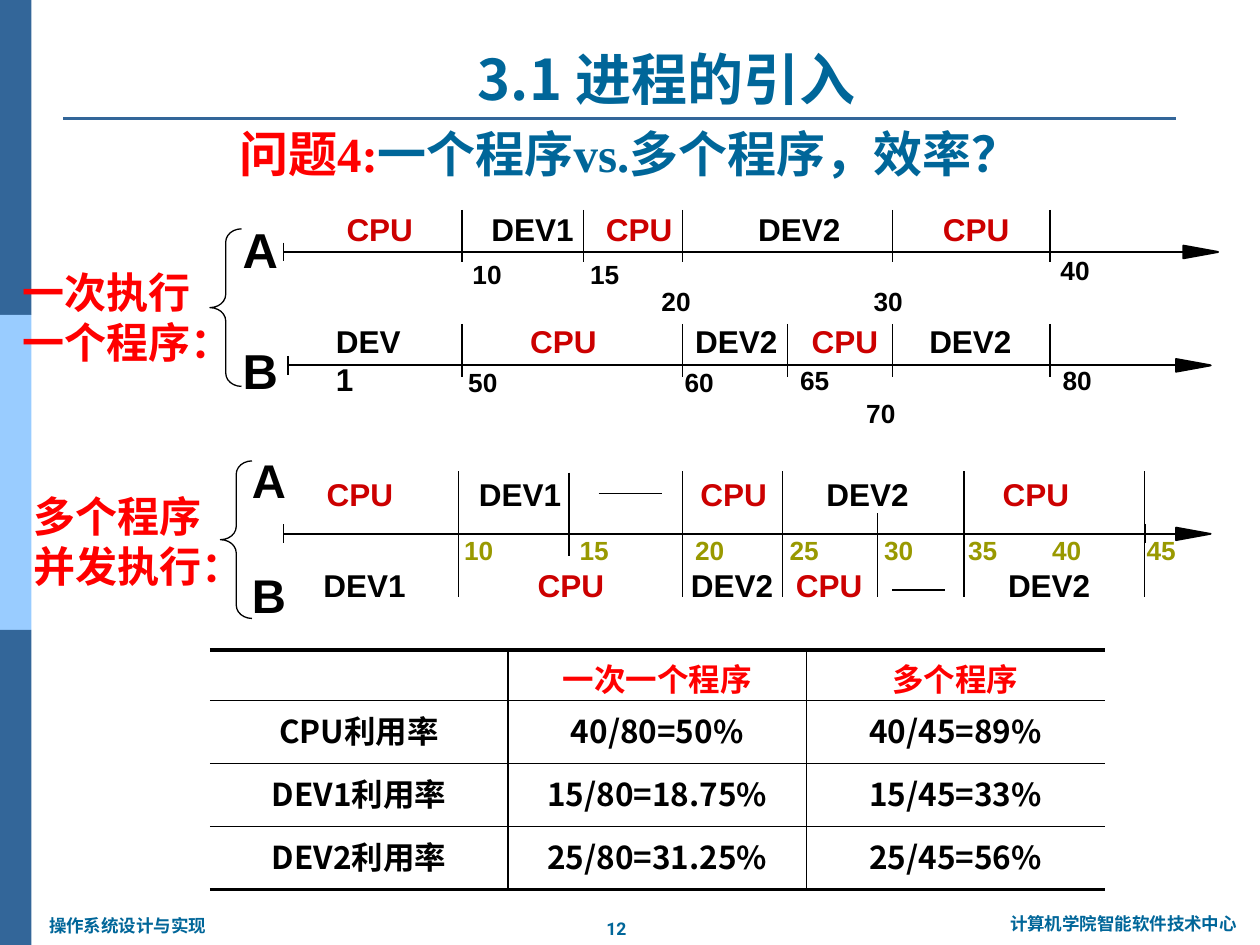
import dataclasses
import itertools
import typing

import lxml.etree
import pptx
import pptx.dml.color
import pptx.enum.shapes
import pptx.enum.text
import pptx.oxml.ns
import pptx.util

qn = pptx.oxml.ns.qn
Align = pptx.enum.text.PP_ALIGN
Anchor = pptx.enum.text.MSO_ANCHOR
Preset = pptx.enum.shapes.MSO_SHAPE


@dataclasses.dataclass(frozen=True)
class Theme:
    black: str = "000000"
    red: str = "FF0000"
    cpu: str = "CC0000"
    olive: str = "999900"
    teal: str = "006699"
    navy: str = "336699"
    sky: str = "99CCFF"
    sans: str = "Arial"
    serif: str = "Times New Roman"
    foot: str = "Roboto"
    han: str = "Noto Sans CJK SC"
    head: float = 32
    ask: float = 28
    name: float = 28
    pair: float = 27
    side: float = 24
    task: float = 18
    time: float = 15
    note: float = 10
    thin: float = 0.75
    line: float = 1
    bold: float = 2.25


T = Theme()


class Run(typing.NamedTuple):
    text: str
    size: float
    color: str
    font: str = T.sans


class Area(typing.NamedTuple):
    x: float
    y: float
    w: float
    h: float


class Row(typing.NamedTuple):
    top: float
    size: float
    color: str
    marks: list[tuple[str, float]]


class Lane(typing.NamedTuple):
    y: float
    start: float
    tip: float
    width: float


class Ticks(typing.NamedTuple):
    top: float
    end: float
    cols: list[float]
    width: float


deck = pptx.Presentation()
deck.slide_width = pptx.util.Inches(10)
deck.slide_height = pptx.util.Inches(7.5)
COLS, ROWS = 120, 90
slide = deck.slides.add_slide(deck.slide_layouts[5])
shapes = slide.shapes


def col(n: float) -> int:
    return round(deck.slide_width * n / COLS)


def row(n: float) -> int:
    return round(deck.slide_height * n / ROWS)


def place(area: Area) -> tuple[int, int, int, int]:
    return col(area.x), row(area.y), col(area.w), row(area.h)


def rgb(code: str) -> pptx.dml.color.RGBColor:
    return pptx.dml.color.RGBColor.from_string(code)


def write(para, runs: list[Run], align=Align.LEFT) -> None:
    para.alignment = align
    for part in runs:
        for i, text in enumerate(part.text.split("\n")):
            if i:
                para.add_line_break()
            run = para.add_run()
            run.text = text
            run.font.size = pptx.util.Pt(part.size)
            run.font.name = part.font
            run.font.bold = True
            run.font.color.rgb = rgb(part.color)
            east = lxml.etree.Element(qn("a:ea"), typeface=T.han)
            run.font._element.find(qn("a:latin")).addnext(east)


def label(area: Area, runs: list[Run], align=Align.LEFT, wrap=False, pad=False) -> None:
    frame = shapes.add_textbox(*place(area)).text_frame
    frame.word_wrap = wrap
    if not pad:
        frame.margin_left = frame.margin_right = 0
        frame.margin_top = frame.margin_bottom = 0
    write(frame.paragraphs[0], runs, align)


def title(area: Area, runs: list[Run]) -> None:
    shape = shapes.title
    shape.left, shape.top, shape.width, shape.height = place(area)
    shape.text_frame.vertical_anchor = Anchor.BOTTOM
    write(shape.text_frame.paragraphs[0], runs, Align.CENTER)


def line(x1: float, y1: float, x2: float, y2: float, width: float, color: str = T.black) -> None:
    link = shapes.add_connector(
        pptx.enum.shapes.MSO_CONNECTOR.STRAIGHT, col(x1), row(y1), col(x2), row(y2))
    link.line.width = pptx.util.Pt(width)
    link.line.color.rgb = rgb(color)
    lxml.etree.SubElement(link._element.spPr, qn("a:effectLst"))


def bar(area: Area, color: str) -> None:
    shape = shapes.add_shape(Preset.RECTANGLE, *place(area))
    shape.shadow.inherit = False
    shape.fill.solid()
    shape.fill.fore_color.rgb = rgb(color)
    shape.line.fill.background()


def brace(area: Area) -> None:
    shape = shapes.add_shape(Preset.LEFT_BRACE, *place(area))
    shape.shadow.inherit = False
    shape.adjustments[0] = 0.42
    shape.fill.background()
    shape.line.color.rgb = rgb(T.black)
    shape.line.width = pptx.util.Pt(T.thin)


def axis(lane: Lane) -> None:
    base = lane.tip - 3.3
    line(lane.start, lane.y, base, lane.y, lane.width)
    line(lane.start, lane.y - 0.9, lane.start, lane.y + 0.9, T.line)
    path = shapes.build_freeform(col(base), row(lane.y - 0.6))
    path.add_line_segments(
        [(col(lane.tip), row(lane.y)), (col(base), row(lane.y + 0.6))], close=True)
    head = path.convert_to_shape()
    head.shadow.inherit = False
    head.fill.solid()
    head.fill.fore_color.rgb = rgb(T.black)
    head.line.color.rgb = rgb(T.black)
    head.line.width = pptx.util.Pt(lane.width)


def edge(cell, side: str, width: float) -> None:
    part = lxml.etree.SubElement(
        cell._tc.get_or_add_tcPr(), qn("a:" + side), w=str(pptx.util.Pt(width)))
    if width:
        fill = lxml.etree.SubElement(part, qn("a:solidFill"))
        lxml.etree.SubElement(fill, qn("a:srgbClr"), val=T.black)
    else:
        lxml.etree.SubElement(part, qn("a:noFill"))


def table(area: Area, highs: list[float], data: list[list[str]]) -> None:
    rows, cols = len(data), len(data[0])
    grid = shapes.add_table(rows, cols, *place(area)).table
    grid.first_row = grid.horz_banding = False
    for r, high in enumerate(highs):
        grid.rows[r].height = row(high)
    for r, c in itertools.product(range(rows), range(cols)):
        cell = grid.cell(r, c)
        edge(cell, "lnL", T.line if c else 0)
        edge(cell, "lnR", T.line if c < cols - 1 else 0)
        edge(cell, "lnT", T.line if r else T.bold)
        edge(cell, "lnB", T.line if r < rows - 1 else T.bold)
        cell.fill.background()
        if r == 0:
            cell.margin_top, cell.margin_bottom = pptx.util.Inches(0.04), 0
        if data[r][c]:
            color = T.black if r else T.red
            write(cell.text_frame.paragraphs[0],
                  [Run(data[r][c], T.task, color, T.han)], Align.CENTER)


LANES = [Lane(24, 27, 116, 1.13), Lane(34.8, 27.4, 115.3, 1.13), Lane(50.85, 27, 115.3, 1)]
TICKS = [
    Ticks(20, 25, [44, 55.6, 65, 85, 100], T.thin),
    Ticks(30.84, 35.9, [44, 65, 75, 85, 100], T.thin),
    Ticks(44.9, 56.9, [43.7, 65, 74.5, 91.8, 109], T.thin),
    Ticks(45, 53, [54.2], T.thin),
    Ticks(48.9, 56.9, [83.6], T.thin),
    Ticks(49.9, 51.7, [109.1], T.line),
]
LABELS = [
    Row(20.05, T.task, T.black, [("CPU", 33), ("DEV1", 46.8), ("CPU", 57.7), ("DEV2", 72.2), ("CPU", 89.8)]),
    Row(30.7, T.task, T.black, [("CPU", 50.5), ("DEV2", 66.2), ("CPU", 77.3), ("DEV2", 88.5)]),
    Row(45.2, T.task, T.black, [("CPU", 31.1), ("DEV1", 45.6), ("CPU", 66.7), ("DEV2", 78.7), ("CPU", 95.5)]),
    Row(53.9, T.task, T.black, [("DEV1", 30.8), ("CPU", 51.2), ("DEV2", 65.8), ("CPU", 75.8), ("DEV2", 96)]),
    Row(24.6, T.time, T.black, [("10", 45), ("15", 56.2)]),
    Row(24.25, T.time, T.black, [("40", 101)]),
    Row(27.2, T.time, T.black, [("20", 63), ("30", 83.2)]),
    Row(34.9, T.time, T.black, [("50", 44.6), ("60", 65.2)]),
    Row(34.7, T.time, T.black, [("65", 76.2), ("80", 101.2)]),
    Row(37.85, T.time, T.black, [("70", 82.5)]),
    Row(50.9, T.time, T.olive, [("10", 44.2), ("15", 55.2), ("20", 66.2), ("25", 75.2),
                                ("30", 84.2), ("35", 92.2), ("40", 100.2), ("45", 109.2)]),
    Row(20.9, T.name, T.black, [("A", 23.1)]),
    Row(32.4, T.name, T.black, [("B", 23.1)]),
    Row(43, T.pair, T.black, [("A", 24)]),
    Row(53.9, T.pair, T.black, [("B", 24)]),
]

for i, color in enumerate([T.navy, T.sky, T.navy]):
    bar(Area(0, 30 * i, 3, 30), color)
line(6, 11.3, 112, 11.3, 1.5, T.navy)
for text, area, align in [
    ("12", Area(56.5, 86.8, 4.4, 3.2), Align.CENTER),
    ("计算机学院智能软件技术中心", Area(94.4, 86.4, 25.2, 3.2), Align.CENTER),
    ("操作系统设计与实现", Area(3.5, 86.6, 17.5, 3.2), Align.LEFT),
]:
    label(area, [Run(text, T.note, T.teal, T.foot)], align, pad=True)
title(Area(6, 10.4, 108, 7.6), [
    Run("问题4:", T.ask, T.red, T.serif),
    Run("一个程序vs.多个程序，效率？", T.ask, T.teal, T.serif),
])
label(Area(21.6, 3.6, 83.8, 7.6), [Run("3.1 进程的引入", T.head, T.teal, T.han)],
      Align.CENTER, wrap=True, pad=True)
for text, x, y in [("一次执行\n一个程序：", 1, 24.8), ("多个程序\n并发执行：", 2, 46.1)]:
    label(Area(x, y, 23.5, 10.8), [Run(text, T.side, T.red)], wrap=True, pad=True)
for x, y in [(20, 21.8), (21, 43.9)]:
    brace(Area(x, y, 3, 15))
for lane in LANES:
    axis(lane)
for group in TICKS:
    for x in group.cols:
        line(x, group.top, x, group.end, group.width)
for x1, x2, y in [(57, 63, 47), (85, 90, 56.2)]:
    line(x1, y, x2, y, T.thin)
for band in LABELS:
    for text, x in band.marks:
        color = T.cpu if text == "CPU" else band.color
        area = Area(x, band.top, len(text) * band.size / 8, band.size / 5)
        label(area, [Run(text, band.size, color)])
label(Area(32, 30.7, 7, 7.2), [Run("DEV 1", T.task, T.black)], wrap=True)
table(Area(20, 61.9, 85.2, 22.8), [4.8, 6, 6, 6], [
    ["", "一次一个程序", "多个程序"],
    ["CPU利用率", "40/80=50%", "40/45=89%"],
    ["DEV1利用率", "15/80=18.75%", "15/45=33%"],
    ["DEV2利用率", "25/80=31.25%", "25/45=56%"],
])
deck.save("out.pptx")
